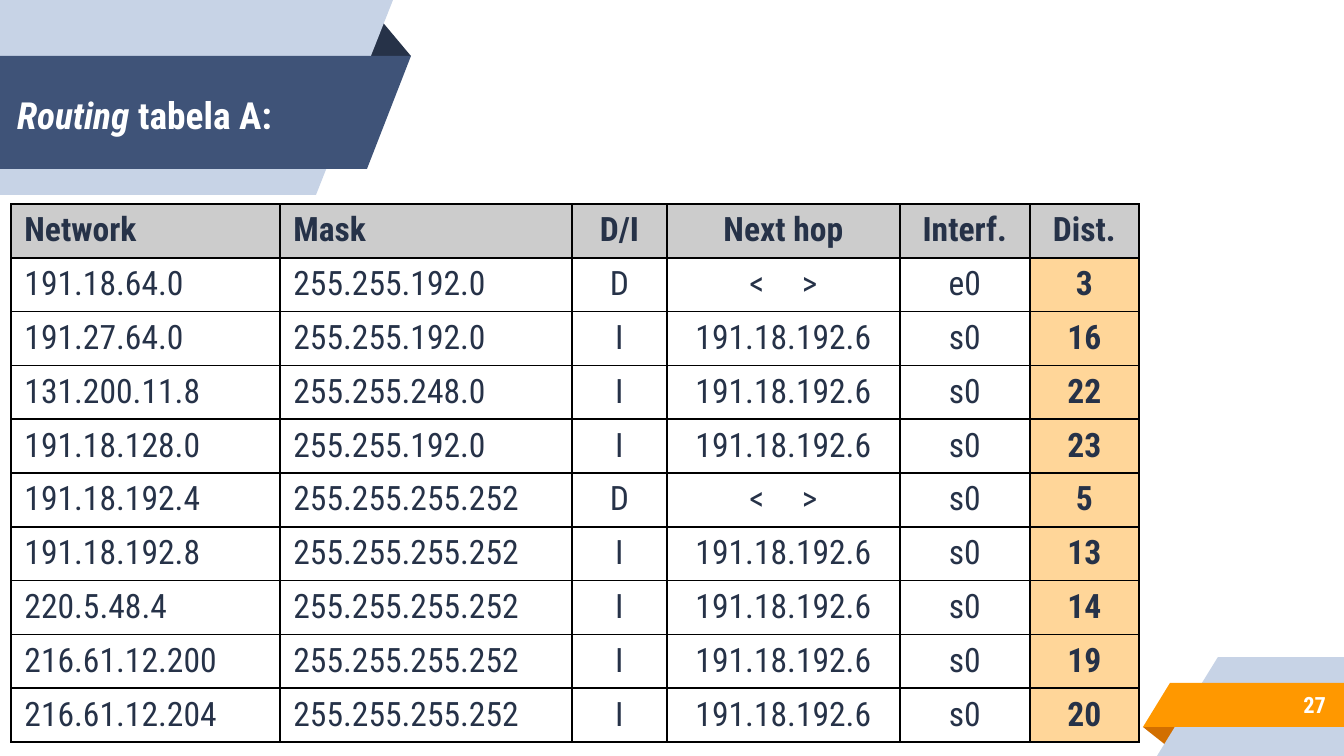
from lxml import etree
from pptx import Presentation
from pptx.dml.color import RGBColor
from pptx.enum.text import MSO_ANCHOR, PP_ALIGN
from pptx.oxml.ns import qn
from pptx.util import Emu, Pt

LEFT, CENTER, RIGHT = PP_ALIGN.LEFT, PP_ALIGN.CENTER, PP_ALIGN.RIGHT
MIDDLE = MSO_ANCHOR.MIDDLE

WHITE = RGBColor(0xFF, 0xFF, 0xFF)
NAVY = RGBColor(0x26, 0x32, 0x48)
BLUE = RGBColor(0x3F, 0x53, 0x78)
PALE = RGBColor(0xC7, 0xD3, 0xE6)
ORANGE = RGBColor(0xFF, 0x98, 0x00)
RUST = RGBColor(0xD2, 0x6F, 0x00)
GREY = RGBColor(0xCC, 0xCC, 0xCC)
PEACH = RGBColor(0xFF, 0xD6, 0x99)

FONT = "Roboto Condensed"
PX = 914400 / 134.4


def px(n):
    return Emu(round(n * PX))


def add_text(p, text, size=18, color=NAVY, bold=False, italic=False, align=LEFT, spacing=0):
    p.alignment = align
    r = p.add_run()
    r.text = text
    f = r.font
    f.name, f.size, f.bold, f.italic = FONT, Pt(size), bold, italic
    f.color.rgb = color
    if spacing:
        r._r.get_or_add_rPr().set("spc", str(spacing * 100))


prs = Presentation()
prs.slide_width, prs.slide_height = px(1344), px(756)
s = prs.slides.add_slide(prs.slide_layouts[5])

# Folded ribbons: bottom right, then top left, each from back to front
ribbons = [
    (RUST, [(1143, 727), (1179, 727), (1167, 746)]),
    (PALE, [(1218, 657), (1344, 657), (1344, 756), (1157, 756)]),
    (ORANGE, [(1170, 683), (1344, 683), (1344, 727), (1143, 727)]),
    (NAVY, [(366, 56), (380, 19), (411, 56)]),
    (PALE, [(0, 0), (393, 0), (316, 195), (0, 195)]),
    (BLUE, [(0, 56), (411, 56), (367, 169), (0, 169)]),
]
for color, points in ribbons:
    builder = s.shapes.build_freeform(*points[0], scale=PX)
    builder.add_line_segments(points[1:], close=True)
    sp = builder.convert_to_shape()
    sp.shadow.inherit = False
    sp.fill.solid()
    sp.fill.fore_color.rgb = color
    sp.line.fill.background()

# Title and page number, moved in front of the ribbons
title = s.shapes.title
title.left, title.top, title.width, title.height = px(4), px(58), px(352), px(113)
s.shapes._spTree.append(title._element)
number = s.shapes.add_textbox(px(1120), px(681), px(219), px(47))
for sp in (title, number):
    tf = sp.text_frame
    tf.word_wrap = True
    tf.vertical_anchor = MIDDLE
    tf.margin_left = tf.margin_right = tf.margin_top = tf.margin_bottom = px(13)
p = title.text_frame.paragraphs[0]
add_text(p, "Routing", size=20, color=WHITE, bold=True, italic=True)
add_text(p, " tabela A:", size=20, color=WHITE, bold=True)
add_text(number.text_frame.paragraphs[0], "27", size=12, color=WHITE, bold=True, align=RIGHT)

# Routing table
HOP = "191.18.192.6"
DIRECT = "< >"
rows = [
    ("Network", "Mask", "D/I", "Next hop", "Interf.", "Dist."),
    ("191.18.64.0", "255.255.192.0", "D", DIRECT, "e0", "3"),
    ("191.27.64.0", "255.255.192.0", "I", HOP, "s0", "16"),
    ("131.200.11.8", "255.255.248.0", "I", HOP, "s0", "22"),
    ("191.18.128.0", "255.255.192.0", "I", HOP, "s0", "23"),
    ("191.18.192.4", "255.255.255.252", "D", DIRECT, "s0", "5"),
    ("191.18.192.8", "255.255.255.252", "I", HOP, "s0", "13"),
    ("220.5.48.4", "255.255.255.252", "I", HOP, "s0", "14"),
    ("216.61.12.200", "255.255.255.252", "I", HOP, "s0", "19"),
    ("216.61.12.204", "255.255.255.252", "I", HOP, "s0", "20"),
]
widths = [269, 292, 95, 233, 130, 109]
ROW_H = 53
table = s.shapes.add_table(len(rows), len(widths), px(11), px(204),
                           px(sum(widths)), px(ROW_H * len(rows))).table
for column, width in zip(table.columns, widths):
    column.width = px(width)

for i, row in enumerate(rows):
    table.rows[i].height = px(ROW_H)
    for j, text in enumerate(row):
        cell = table.cell(i, j)
        header, distance = i == 0, j == len(widths) - 1
        p = cell.text_frame.paragraphs[0]
        # The space between the two angle signs is widened by letter spacing
        parts = list(text) if text == DIRECT else [text]
        for part in parts:
            add_text(p, part, bold=header or distance, align=LEFT if j < 2 else CENTER,
                     spacing=16 if part == " " else 0)

        # Borders come before the fill in the cell properties
        tcPr = cell._tc.get_or_add_tcPr()
        for side in ("a:lnL", "a:lnR", "a:lnT", "a:lnB"):
            ln = etree.SubElement(tcPr, qn(side), w=str(Pt(1)))
            fill = etree.SubElement(ln, qn("a:solidFill"))
            etree.SubElement(fill, qn("a:srgbClr"), val="000000")
        cell.fill.solid()
        cell.fill.fore_color.rgb = GREY if header else PEACH if distance else WHITE

prs.save("out.pptx")
